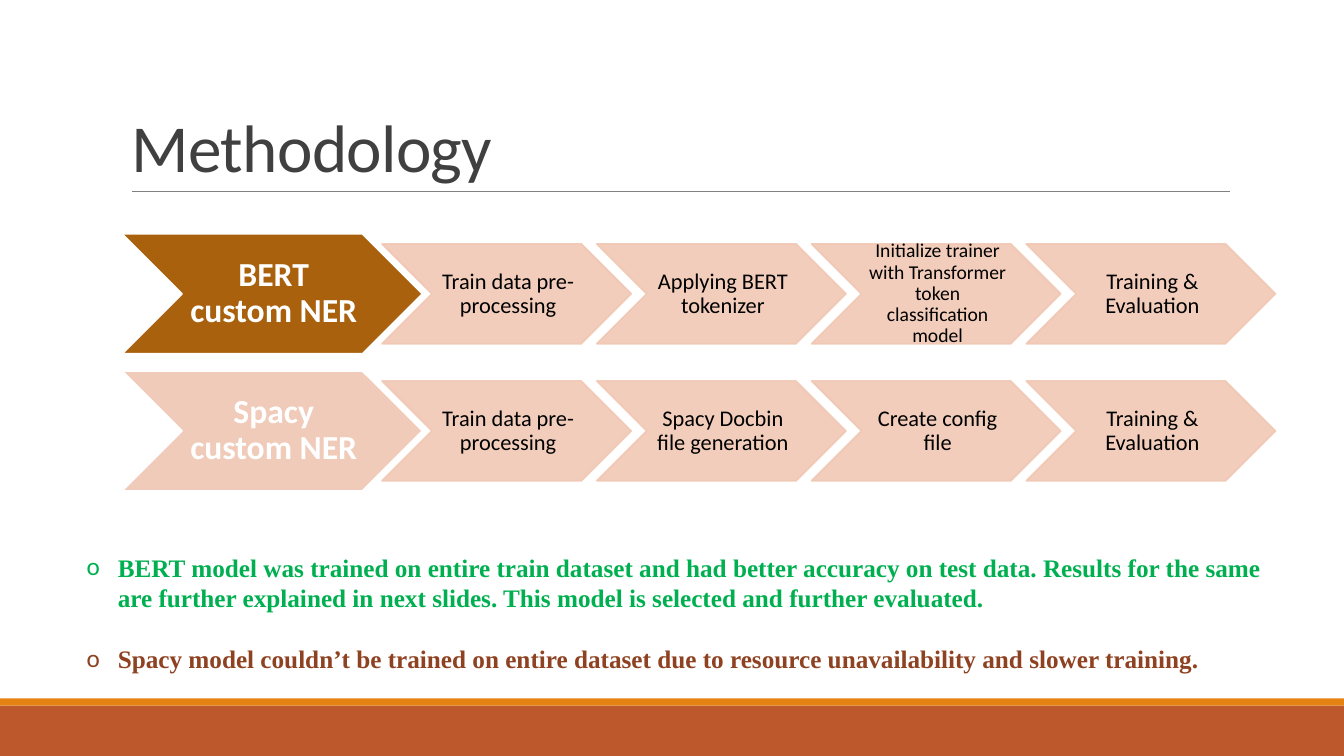
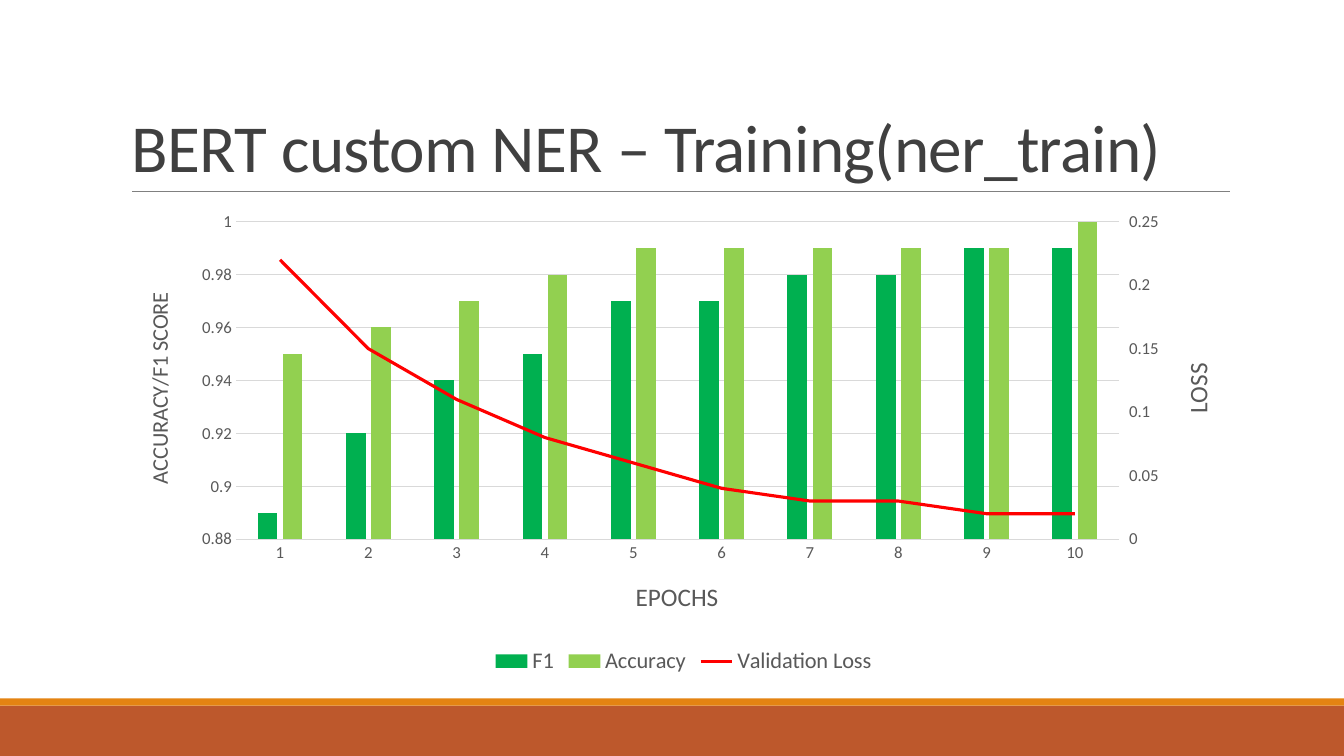
import copy

import lxml.etree
import pptx
import pptx.chart.axis
import pptx.chart.data
import pptx.dml.color
import pptx.enum.chart
import pptx.enum.shapes
import pptx.enum.text
import pptx.oxml.ns
import pptx.util

WIDTH, HEIGHT = 13.33, 7.5
LEFT = 1.21
CHART_WIDTH, CHART_HEIGHT = 11.14, 4.72
BODY_FONT, NOTE_FONT = "Calibri", "Times New Roman"

COLORS = {
    "band": "BD582C",
    "stripe": "E48312",
    "rule": "808080",
    "title": "404040",
    "bert": "A9610D",
    "spacy": "F0CBB9",
    "step": "F1C8B4",
    "white": "FFFFFF",
    "black": "000000",
    "selected": "00B050",
    "rejected": "8E4221",
    "axis": "595959",
    "grid": "D9D9D9",
    "f1": "00B050",
    "accuracy": "92D050",
    "loss": "FF0000",
}

FLOWS = [
    ("BERT custom NER", "bert", [
        ("Train data pre-processing", 16),
        ("Applying BERT tokenizer", 16),
        ("Initialize trainer with Transformer token classification model", 14),
        ("Training & Evaluation", 16),
    ]),
    ("Spacy custom NER", "spacy", [
        ("Train data pre-processing", 16),
        ("Spacy Docbin file generation", 16),
        ("Create config file", 16),
        ("Training & Evaluation", 16),
    ]),
]

FINDINGS = [
    ("BERT model was trained on entire train dataset and had better accuracy on test data. "
     "Results for the same are further explained in next slides. "
     "This model is selected and further evaluated.", "selected"),
    ("Spacy model couldn’t be trained on entire dataset due to resource unavailability "
     "and slower training.", "rejected"),
]

SCORES = {
    "F1": [0.89, 0.92, 0.94, 0.95, 0.97, 0.97, 0.98, 0.98, 0.99, 0.99],
    "Accuracy": [0.95, 0.96, 0.97, 0.98, 0.99, 0.99, 0.99, 0.99, 0.99, 1],
    "Validation Loss": [0.22, 0.15, 0.11, 0.08, 0.06, 0.04, 0.03, 0.03, 0.02, 0.02],
}


def inches(*lengths):
    return [pptx.util.Inches(length) for length in lengths]


def rgb(name):
    return pptx.dml.color.RGBColor.from_string(COLORS[name])


def apply(target, **values):
    for name, value in values.items():
        setattr(target, name, value)


def style_font(font, size, color, name=BODY_FONT, bold=False):
    apply(font, size=pptx.util.Pt(size), name=name, bold=bold)
    font.color.rgb = rgb(color)


def style_line(line, color, width):
    line.color.rgb = rgb(color)
    line.width = pptx.util.Pt(width)


def child(parent, tag, **attributes):
    return lxml.etree.SubElement(parent, pptx.oxml.ns.qn(tag), attributes)


def set_insets(frame, left, top, right, bottom):
    sides = inches(left, top, right, bottom)
    apply(frame, **dict(zip(("margin_left", "margin_top", "margin_right", "margin_bottom"), sides)))


def add_filled(slide, preset, box, color):
    shape = slide.shapes.add_shape(preset, *inches(*box))
    shape.shadow.inherit = False
    shape.fill.solid()
    shape.fill.fore_color.rgb = rgb(color)
    shape.line.fill.background()
    return shape


def add_titled_slide(deck, heading):
    slide = deck.slides.add_slide(deck.slide_layouts[6])
    for top, height, color in [(7, 0.5, "band"), (6.93, 0.07, "stripe")]:
        add_filled(slide, pptx.enum.shapes.MSO_SHAPE.RECTANGLE, (0, top, WIDTH, height), color)
    rule = slide.shapes.add_connector(
        pptx.enum.shapes.MSO_CONNECTOR.STRAIGHT, *inches(LEFT + 0.1, 1.9, 12.2, 1.9))
    style_line(rule.line, "rule", 0.5)
    child(rule._element.spPr, "a:effectLst")
    title = slide.shapes.add_textbox(*inches(LEFT, 0.31, 11, 1.59)).text_frame
    apply(title, word_wrap=True, vertical_anchor=pptx.enum.text.MSO_ANCHOR.BOTTOM)
    paragraph = title.paragraphs[0]
    paragraph.line_spacing = 0.85
    run = paragraph.add_run()
    run.text = heading
    style_font(run.font, 48, "title")
    run.font._element.set("spc", "-50")
    return slide


def add_chevron(slide, box, text, fill, border, size, color, bold=False, opacity=100):
    chevron = add_filled(slide, pptx.enum.shapes.MSO_SHAPE.CHEVRON, box, fill)
    style_line(chevron.line, border, 1.25)
    if opacity < 100:
        for tone in chevron._element.spPr.xpath(".//a:srgbClr"):
            child(tone, "a:alpha", val=str(opacity * 1000))
    frame = chevron.text_frame
    apply(frame, word_wrap=True, vertical_anchor=pptx.enum.text.MSO_ANCHOR.MIDDLE)
    set_insets(frame, 0.03, 0.01, 0, 0.01)
    paragraph = frame.paragraphs[0]
    apply(paragraph, text=text, line_spacing=0.9, alignment=pptx.enum.text.PP_ALIGN.CENTER)
    style_font(paragraph.runs[0].font, size, color, bold=bold)


def add_flow(slide, row, model, fill, steps):
    top = 2.32 + 1.36 * row
    add_chevron(slide, (LEFT, top, 2.98, 1.19), model, fill, "white", 24, "white", bold=True)
    for column, (step, size) in enumerate(steps):
        box = (3.79 + 2.13 * column, top + 0.1, 2.47, 0.99)
        add_chevron(slide, box, step, "step", "step", size, "black", opacity=90)


def add_findings(slide):
    frame = slide.shapes.add_textbox(*inches(0.76, 5.43, 12.05, 1.31)).text_frame
    frame.word_wrap = True
    for index, (finding, color) in enumerate(FINDINGS):
        paragraph = frame.add_paragraph() if index else frame.paragraphs[0]
        paragraph.text = finding
        paragraph.space_before = pptx.util.Pt(22 * index)
        style_font(paragraph.runs[0].font, 18, color, NOTE_FONT, True)
        indent = pptx.util.Inches(0.31)
        properties = paragraph._p.get_or_add_pPr()
        for name, value in {"marL": indent, "indent": -indent}.items():
            properties.set(name, str(value))
        child(properties, "a:buFont", typeface=BODY_FONT)
        child(properties, "a:buChar", char="o")


def place(element, x, y, inner_size=None):
    layout = element.find(pptx.oxml.ns.qn("c:layout"))
    if layout is None:
        layout = child(element, "c:layout")
        element.insert(0, layout)
    manual = child(layout, "c:manualLayout")
    if inner_size:
        child(manual, "c:layoutTarget", val="inner")
    for mode in ("xMode", "yMode"):
        child(manual, f"c:{mode}", val="edge")
    extents = (CHART_WIDTH, CHART_HEIGHT) * 2
    for name, length, extent in zip("xywh", (x, y, *(inner_size or ())), extents):
        child(manual, f"c:{name}", val=str(round(length / extent, 4)))


def style_axis(axis, heading, size, position, rotation=0, **scale):
    none = pptx.enum.chart.XL_TICK_MARK.NONE
    apply(axis, major_tick_mark=none, minor_tick_mark=none, **scale)
    style_font(axis.tick_labels.font, 12, "axis")
    axis.format.line.fill.background()
    title = axis.axis_title
    title.text_frame.text = heading
    style_font(title.text_frame.paragraphs[0].runs[0].font, size, "axis")
    body = title.text_frame._txBody.bodyPr
    body.set("rot", str(rotation * 60000))
    body.set("vert", "horz")
    place(title._element, *position)


def move_to_right_axis(chart, series):
    bars = chart.plots[0]._element
    area = bars.getparent()
    category, value = chart.category_axis._element, chart.value_axis._element
    right_value, right_category = copy.deepcopy(value), copy.deepcopy(category)
    ids = {}
    for axis, number in ((right_category, "5001"), (right_value, "5002")):
        ids[axis.find(pptx.oxml.ns.qn("c:axId")).get("val")] = number
    for axis in (right_category, right_value):
        for tag in ("c:axId", "c:crossAx"):
            link = axis.find(pptx.oxml.ns.qn(tag))
            link.set("val", ids[link.get("val")])
    for tag, setting in {"c:axPos": "r", "c:crosses": "max"}.items():
        right_value.find(pptx.oxml.ns.qn(tag)).set("val", setting)
    value.addnext(right_value)
    right_value.addnext(right_category)
    pptx.chart.axis.CategoryAxis(right_category).visible = False

    curve = child(area, "c:lineChart")
    bars.addnext(curve)
    child(curve, "c:grouping", val="standard")
    child(curve, "c:varyColors", val="0")
    moved = series._element
    for flag in moved.findall(pptx.oxml.ns.qn("c:invertIfNegative")):
        moved.remove(flag)
    curve.append(moved)
    child(curve, "c:marker", val="1")
    for number in ids.values():
        child(curve, "c:axId", val=number)
    return pptx.chart.axis.ValueAxis(right_value)


def add_training_chart(slide):
    data = pptx.chart.data.CategoryChartData()
    data.categories = [str(epoch) for epoch in range(1, 11)]
    for name, values in SCORES.items():
        data.add_series(name, values)
    chart = slide.shapes.add_chart(
        pptx.enum.chart.XL_CHART_TYPE.COLUMN_CLUSTERED,
        *inches(LEFT, 2.02, CHART_WIDTH, CHART_HEIGHT), data).chart
    apply(chart, has_title=False, has_legend=True)
    style_font(chart.font, 10, "black")
    apply(chart.legend, include_in_layout=False,
          position=pptx.enum.chart.XL_LEGEND_POSITION.BOTTOM)
    style_font(chart.legend.font, 16, "axis")

    score_axis = chart.value_axis
    loss_axis = move_to_right_axis(chart, chart.plots[0].series[2])
    bars, curve = chart.plots
    apply(bars, gap_width=219, overlap=-27, vary_by_categories=False)
    for series, color in zip(bars.series, ("f1", "accuracy")):
        series.format.fill.solid()
        series.format.fill.fore_color.rgb = rgb(color)
    loss = curve.series[0]
    loss.smooth = False
    loss.marker.style = pptx.enum.chart.XL_MARKER_STYLE.NONE
    style_line(loss.format.line, "loss", 2.25)

    style_axis(chart.category_axis, "EPOCHS", 18, (5.05, 3.68))
    style_line(chart.category_axis.format.line, "grid", 0.75)
    style_axis(score_axis, "ACCURACY/F1 SCORE", 16, (0.18, 0.84), -90,
               minimum_scale=0.88, maximum_scale=1, major_unit=0.02)
    style_line(score_axis.major_gridlines.format.line, "grid", 0.75)
    style_axis(loss_axis, "LOSS", 18, (10.45, 1.54), -90, has_major_gridlines=False,
               minimum_scale=0, maximum_scale=0.25, major_unit=0.05,
               tick_label_position=pptx.enum.chart.XL_TICK_LABEL_POSITION.HIGH)
    place(bars._element.getparent(), 1.13, 0.18, (8.76, 3.15))


def main():
    deck = pptx.Presentation()
    deck.slide_width, deck.slide_height = inches(WIDTH, HEIGHT)
    methodology = add_titled_slide(deck, "Methodology")
    for row, flow in enumerate(FLOWS):
        add_flow(methodology, row, *flow)
    add_findings(methodology)
    add_training_chart(add_titled_slide(deck, "BERT custom NER – Training(ner_train)"))
    deck.save("out.pptx")


if __name__ == "__main__":
    main()
